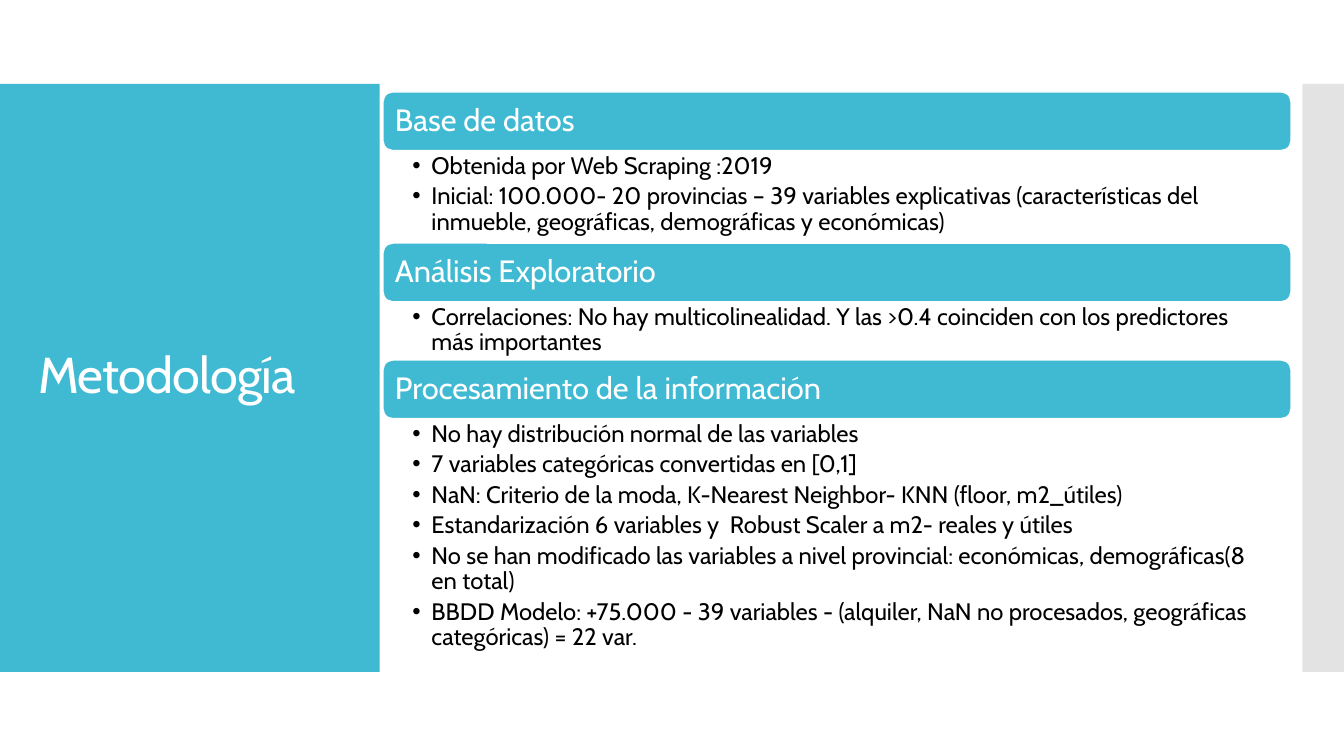
from lxml import etree
from pptx import Presentation
from pptx.dml.color import RGBColor
from pptx.enum.shapes import MSO_SHAPE
from pptx.enum.text import MSO_ANCHOR, MSO_AUTO_SIZE, PP_ALIGN
from pptx.oxml.ns import qn
from pptx.util import Inches, Pt

RECTANGLE = MSO_SHAPE.RECTANGLE
ROUNDED = MSO_SHAPE.ROUNDED_RECTANGLE
TOP, MIDDLE = MSO_ANCHOR.TOP, MSO_ANCHOR.MIDDLE
LEFT = PP_ALIGN.LEFT
NO_FIT = MSO_AUTO_SIZE.NONE

COLORS = {"teal": "40BAD2", "gray": "C8C8C8", "white": "FFFFFF", "black": "000000"}
FONT = "Cabin"
COMPARISON_LAYOUT = 4
LIST_PLACEHOLDERS = (1, 2, 4)
SPARE_PLACEHOLDER = 3

# Lengths below are percentages of the slide's width or height.
BAND_TOP, BAND_HEIGHT = 11.11, 77.78
CONTENT_LEFT, CONTENT_WIDTH = 28.5, 67.55
CONTENT_TOP, HEADING_HEIGHT = 12.17, 7.73

# Heading, height of its list, list items
SECTIONS = [
    ("Base de datos", 12.27, [
        "Obtenida por Web Scraping :2019",
        "Inicial: 100.000- 20 provincias – 39 variables explicativas "
        "(características del inmueble, geográficas, demográficas y económicas)",
    ]),
    ("Análisis Exploratorio", 7.73, [
        "Correlaciones: No hay multicolinealidad. Y las >0.4 coinciden "
        "con los predictores más importantes",
    ]),
    ("Procesamiento de la información", 32.5, [
        "No hay distribución normal de las variables",
        "7 variables categóricas convertidas en [0,1]",
        "NaN: Criterio de la moda, K-Nearest Neighbor- KNN (floor, m2_útiles)",
        "Estandarización 6 variables y  Robust Scaler a m2- reales y útiles",
        "No se han modificado las variables a nivel provincial: económicas, "
        "demográficas(8 en total)",
        "BBDD Modelo: +75.000 - 39 variables - (alquiler, NaN no procesados, "
        "geográficas categóricas) = 22 var.",
    ]),
]


def color(name):
    return RGBColor.from_string(COLORS[name])


def add_bullet(para, indent):
    properties = para._p.get_or_add_pPr()
    properties.set("marL", str(indent))
    properties.set("indent", str(-indent))
    etree.SubElement(properties, qn("a:buFont")).set("typeface", "Arial")
    etree.SubElement(properties, qn("a:buChar")).set("char", "•")


def write(box, lines, size, ink, anchor=MIDDLE, insets=(0.1, 0.05, 0.1, 0.05),
          after=0, bullet=False, tracking=None):
    """Fill a box with one paragraph per line; insets run left, top, right, bottom in inches."""
    frame = box.text_frame
    frame.word_wrap = True
    frame.auto_size = NO_FIT
    frame.vertical_anchor = anchor
    (frame.margin_left, frame.margin_top,
     frame.margin_right, frame.margin_bottom) = map(Inches, insets)
    for number, line in enumerate(lines):
        para = frame.add_paragraph() if number else frame.paragraphs[0]
        para.alignment = LEFT
        para.line_spacing = 0.9
        para.space_before = Pt(0)
        para.space_after = Pt(after)
        if bullet:
            add_bullet(para, Inches(0.19))
        span = para.add_run()
        span.text = line
        span.font.name = FONT
        span.font.size = Pt(size)
        span.font.bold = False
        span.font.color.rgb = color(ink)
        if tracking is not None:
            span.font._element.set("spc", str(tracking))


class SlideBuilder:
    def __init__(self, deck):
        self.deck = deck
        self.page = deck.slides.add_slide(deck.slide_layouts[COMPARISON_LAYOUT])

    def area(self, left, top, width, height):
        """Turn percentages of the slide into lengths."""
        across, down = self.deck.slide_width / 100, self.deck.slide_height / 100
        return [round(length) for length in
                (left * across, top * down, width * across, height * down)]

    def move(self, box, *share):
        box.left, box.top, box.width, box.height = self.area(*share)

    def shape(self, kind, fill, *share):
        box = self.page.shapes.add_shape(kind, *self.area(*share))
        box.shadow.inherit = False
        box.fill.solid()
        box.fill.fore_color.rgb = color(fill)
        box.line.fill.background()
        return box

    def panel(self, fill, left, width, opacity=100):
        """Draw a full-height band behind everything else."""
        box = self.shape(RECTANGLE, fill, left, BAND_TOP, width, BAND_HEIGHT)
        if opacity < 100:
            tint = box._element.spPr.find(qn("a:solidFill"))[0]
            etree.SubElement(tint, qn("a:alpha")).set("val", str(opacity * 1000))
        self.page.shapes._spTree.insert(2, box._element)

    def title(self, text):
        box = self.page.shapes.title
        self.move(box, 2.1, 16.4, 24.15, 67.07)
        write(box, [text], 36, "white", tracking=-60)

    def heading(self, text, top):
        box = self.shape(ROUNDED, "teal", CONTENT_LEFT, top, CONTENT_WIDTH, HEADING_HEIGHT)
        box.line.color.rgb = color("white")
        box.line.width = Pt(0.85)
        write(box, [text], 22, "white", insets=(0.09, 0.09, 0.09, 0.09))

    def bullets(self, placeholder, items, top, height):
        box = self.page.placeholders[placeholder]
        self.move(box, CONTENT_LEFT, top, CONTENT_WIDTH, height)
        write(box, items, 17, "black", anchor=TOP, insets=(0.29, 0.03, 0.17, 0.03),
              after=3.4, bullet=True)

    def remove_placeholder(self, placeholder):
        element = self.page.placeholders[placeholder]._element
        element.getparent().remove(element)


def main():
    deck = Presentation()
    deck.slide_width, deck.slide_height = Inches(13.33), Inches(7.5)
    builder = SlideBuilder(deck)
    builder.panel("gray", 96.9, 3.1, opacity=50)
    builder.panel("teal", 0, 28.25)
    builder.title("Metodología")
    top = CONTENT_TOP
    for placeholder, (heading, height, items) in zip(LIST_PLACEHOLDERS, SECTIONS):
        builder.heading(heading, top)
        builder.bullets(placeholder, items, top + HEADING_HEIGHT, height)
        top += HEADING_HEIGHT + height
    builder.remove_placeholder(SPARE_PLACEHOLDER)
    deck.save("out.pptx")


if __name__ == "__main__":
    main()
